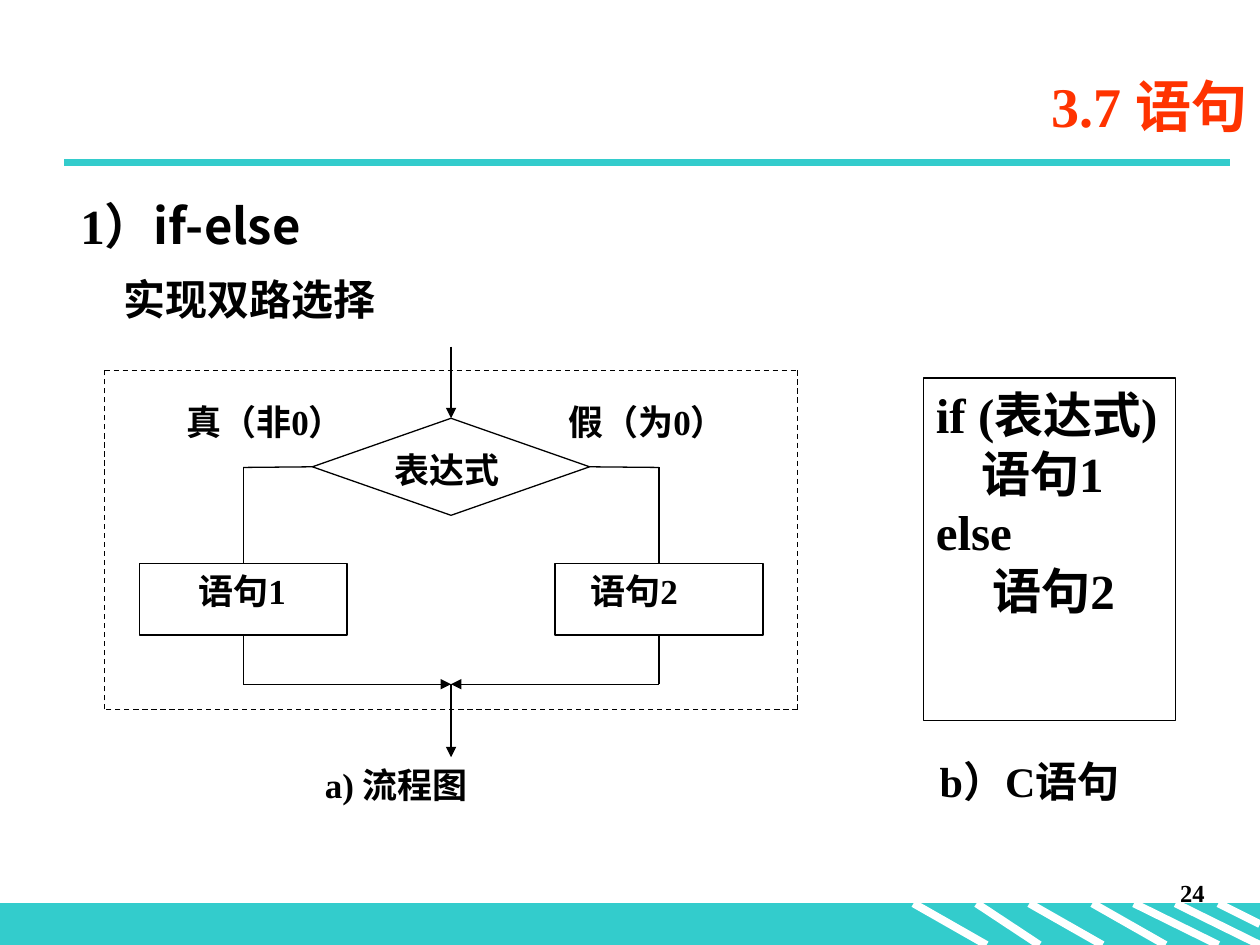
from pptx import Presentation
from pptx.util import Inches, Pt
from pptx.dml.color import RGBColor
from pptx.enum.dml import MSO_LINE
from pptx.enum.shapes import MSO_CONNECTOR, MSO_SHAPE
from pptx.enum.text import MSO_ANCHOR, PP_ALIGN
from pptx.oxml.ns import qn
from lxml.etree import SubElement

SERIF = "Times New Roman"
SANS = "Noto Sans CJK SC"
TEAL = "33CCCC"
BLACK = "000000"
WHITE = "FFFFFF"


def color(code):
    return RGBColor.from_string(code)


def write(shape, text, size=20, ink=BLACK, font=SERIF, align=PP_ALIGN.JUSTIFY,
          anchor=MSO_ANCHOR.TOP, space=None, indents=()):
    frame = shape.text_frame
    frame.word_wrap = True
    frame.vertical_anchor = anchor
    for i, line in enumerate(text.split("\n")):
        para = frame.paragraphs[0] if i == 0 else frame.add_paragraph()
        para.alignment = align
        para.line_spacing = space
        if i < len(indents) and indents[i]:
            para._p.get_or_add_pPr().set("marL", str(Inches(indents[i])))
        for j, part in enumerate(line.split("|")):
            run = para.add_run()
            run.text = part
            run.font.size = Pt(size)
            run.font.bold = True
            run.font.name = SANS if j else font
            run.font.color.rgb = color(ink)
            SubElement(run._r.get_or_add_rPr(), qn("a:ea")).set("typeface", SANS)


def label(slide, box, text, **style):
    shape = slide.shapes.add_textbox(*map(Inches, box))
    write(shape, text, **style)
    return shape


def block(slide, box, kind=MSO_SHAPE.RECTANGLE, fill=WHITE, edge=BLACK):
    shape = slide.shapes.add_shape(kind, *map(Inches, box))
    shape.shadow.inherit = False
    shape.fill.solid()
    shape.fill.fore_color.rgb = color(fill)
    shape.line.color.rgb = color(edge)
    shape.line.width = Pt(0.75)
    return shape


def link(slide, start, end, ink=BLACK, width=0.75, head=False, dash=False):
    wire = slide.shapes.add_connector(
        MSO_CONNECTOR.STRAIGHT, *map(Inches, (*start, *end)))
    wire.line.color.rgb = color(ink)
    wire.line.width = Pt(width)
    if dash:
        wire.line.dash_style = MSO_LINE.DASH
    if head:
        SubElement(wire.line._get_or_add_ln(), qn("a:tailEnd")).set("type", "triangle")
    SubElement(wire._element.spPr, qn("a:effectLst"))
    return wire


def footer(slide, box):
    left, top, width, height = box
    block(slide, box, fill=TEAL, edge=TEAL)
    stripes = [(7.25, 7.83, 1), (7.75, 8.25, 1), (8.17, 8.75, 1), (8.67, 9.25, 1),
               (9, 9.67, 1), (9.33, 10, 1), (9.67, 10, 0.5)]
    for start, end, part in stripes:
        link(slide, (left + start, top), (left + end, top + height * part),
             ink=WHITE, width=4.5)
    label(slide, (left + 7.58, top - 0.25, 2.08, 0.5), "24", size=14,
          align=PP_ALIGN.RIGHT)


def header(slide, box):
    left, top, width, height = box
    link(slide, (left + 0.51, top + 0.85), (left + 9.76, top + 0.85),
         ink=TEAL, width=4.5)
    label(slide, (left + 1.5, top, width - 1.5, height), "3.7 语句", size=32,
          ink="FF3300", align=PP_ALIGN.RIGHT, anchor=MSO_ANCHOR.MIDDLE)


def intro(slide, box):
    left, top, width, height = box
    label(slide, (left, top, width, 0.67), "1）|if-else", size=28,
          align=PP_ALIGN.LEFT)
    label(slide, (left + 0.34, top + 0.67, 8.42, 0.46), "实现双路选择", size=24,
          font=SANS, space=0.9)


def flow(slide, box):
    left, top, width, height = box
    right, base, mid = left + width, top + height, left + width / 2
    side, join = top + 0.77, base - 0.2

    corners = [(left, top), (right, top), (right, base), (left, base)]
    for start, end in zip(corners, corners[1:] + corners[:1]):
        link(slide, start, end, dash=True)

    test = block(slide, (mid - 1.1, top + 0.38, 2.2, 0.77),
                 MSO_SHAPE.FLOWCHART_DECISION)
    write(test, "表达式")
    link(slide, (mid, top - 0.19), (mid, top + 0.38), head=True).end_connect(test, 0)

    branches = [(-1, 1, "语句1", 0.37, "真（非0）", 0.55),
                (1, 3, "语句2", 0.18, "假（为0）", 3.58)]
    for sign, site, name, indent, case, shift in branches:
        axis = mid + sign * 1.65
        step = block(slide, (axis - 0.825, top + 1.53, 1.65, 0.57))
        write(step, name, indents=[indent])
        link(slide, (mid + sign * 1.1, side), (axis, side)).begin_connect(test, site)
        link(slide, (axis, side), (axis, top + 1.53)).end_connect(step, 0)
        link(slide, (axis, top + 2.1), (axis, join)).begin_connect(step, 2)
        link(slide, (axis, join), (mid, join), head=True)
        label(slide, (left + shift, top + 0.19, 1.92, 0.57), case)

    link(slide, (mid, join), (mid, base + 0.38), head=True)
    label(slide, (left + 1.65, base + 0.38, 3.02, 0.57), "a) 流程图")


def code(slide, box):
    left, top, width, height = box
    write(block(slide, box), "if (表达式)\n语句1\nelse\n语句2", size=28,
          indents=[0, 0.36, 0, 0.45])
    label(slide, (left + 0.03, top + height + 0.23, 2.25, 0.54), "b）C语句", size=24)


def main():
    deck = Presentation()
    deck.slide_width, deck.slide_height = Inches(10), Inches(7.5)
    slide = deck.slides.add_slide(deck.slide_layouts[6])
    footer(slide, (0, 7.17, 10, 0.33))
    header(slide, (0, 0.44, 10, 0.79))
    intro(slide, (0.54, 1.5, 9.08, 1.13))
    code(slide, (7.33, 3, 2, 2.72))
    flow(slide, (0.83, 2.94, 5.5, 2.69))
    deck.save("out.pptx")


if __name__ == "__main__":
    main()
